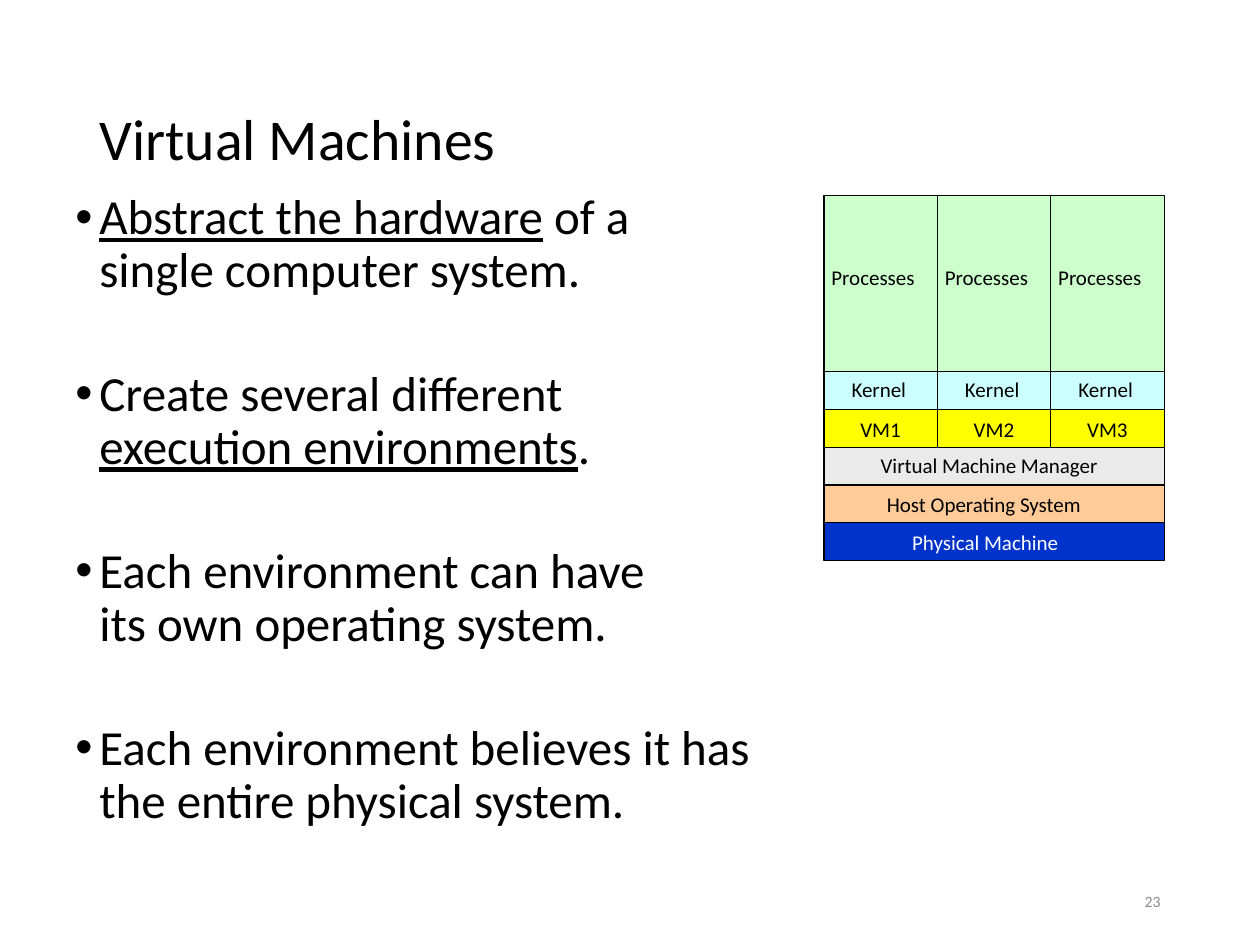
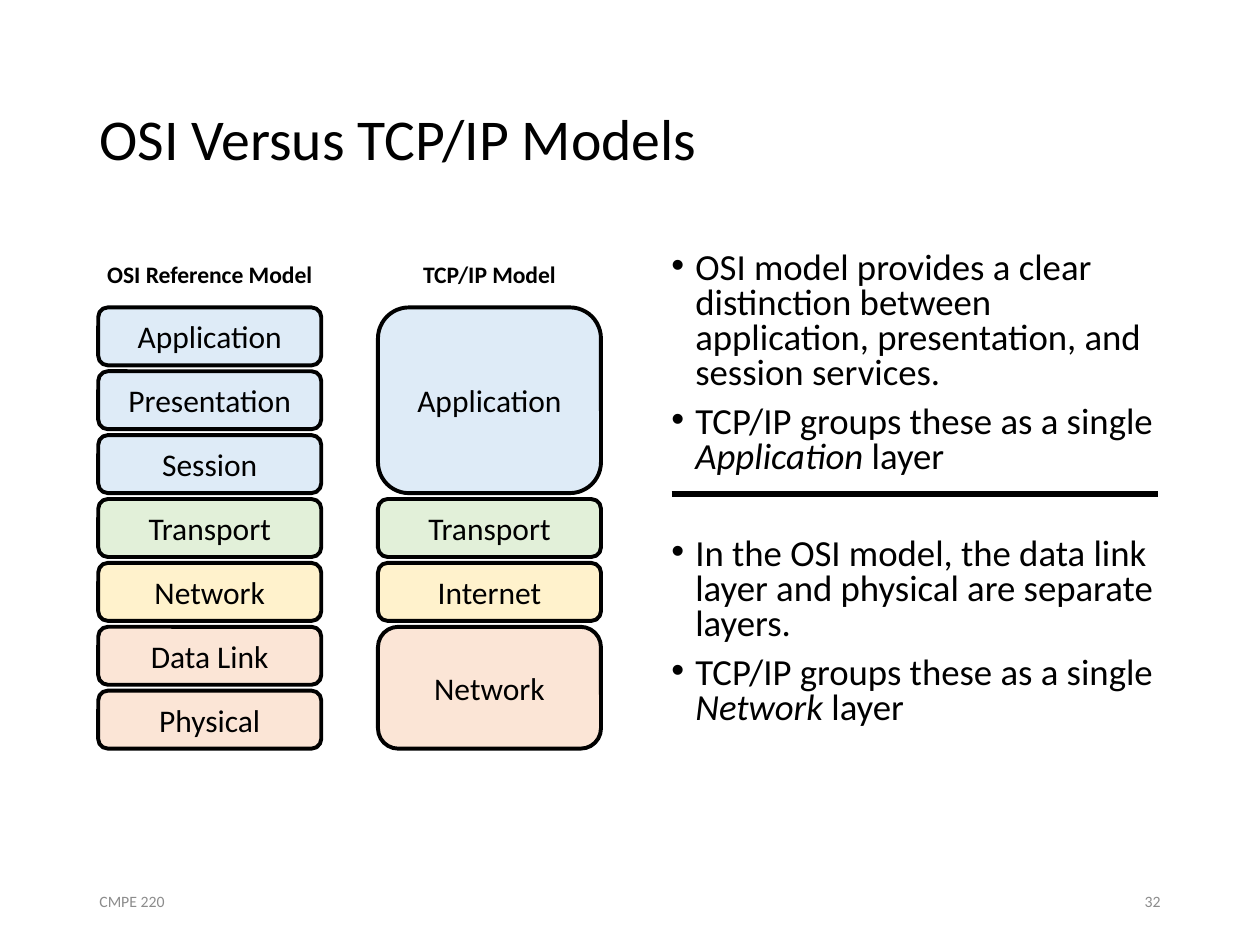
from lxml.etree import SubElement
from pptx import Presentation
from pptx.dml.color import RGBColor
from pptx.enum.shapes import MSO_CONNECTOR as Link, MSO_SHAPE as Kind
from pptx.enum.text import MSO_ANCHOR as Anchor, PP_ALIGN as Align
from pptx.oxml.ns import qn
from pptx.util import Inches, Pt

FONT = "Calibri"
BLACK = RGBColor(0x00, 0x00, 0x00)
WHITE = RGBColor(0xFF, 0xFF, 0xFF)
GREY = RGBColor(0x8C, 0x8C, 0x8C)
MINT = RGBColor(0xCC, 0xFF, 0xCC)
AQUA = RGBColor(0xCC, 0xFF, 0xFF)
YELLOW = RGBColor(0xFF, 0xFF, 0x00)
SILVER = RGBColor(0xEA, 0xEA, 0xEA)
ORANGE = RGBColor(0xFF, 0xCC, 0x99)
NAVY = RGBColor(0x00, 0x33, 0xCC)
SKY = RGBColor(0xDE, 0xEB, 0xF7)
LEAF = RGBColor(0xE2, 0xF0, 0xD9)
CREAM = RGBColor(0xFF, 0xF2, 0xCC)
PEACH = RGBColor(0xFB, 0xE5, 0xD6)

# A paragraph is a list of (text, style); style is "u", "i" or "".
VM_TITLE = "Virtual Machines"
VM_POINTS = [
    [("Abstract the hardware", "u"), (" of a\nsingle computer system.", "")],
    [("Create several different\n", ""), ("execution environments", "u"), (".", "")],
    [("Each environment can have\nits own operating system.", "")],
    [("Each environment believes it has\nthe entire physical system.", "")],
]
# Labels, fill, text colour, row height, label offset (x, y), label width
VM_ROWS = [
    (["Processes"] * 3, MINT, BLACK, 1.4, (-0.04, 0.5), 0.98),
    (["Kernel"] * 3, AQUA, BLACK, 0.3, (0.12, -0.01), 0.68),
    (["VM1", "VM2", "VM3"], YELLOW, BLACK, 0.3, (0.19, 0.01), 0.54),
    (["Virtual Machine Manager"], SILVER, BLACK, 0.3, (0.35, -0.01), 2.05),
    (["Host Operating System"], ORANGE, BLACK, 0.3, (0.4, 0), 1.92),
    (["Physical Machine"], NAVY, WHITE, 0.3, (0.6, 0), 1.49),
]
STACK_X, STACK_Y, STACK_W = 6.54, 1.55, 2.7

OSI_TITLE = "OSI Versus TCP/IP Models"
# Heading, left edge, layers as (name, fill, rows spanned)
MODELS = [
    ("OSI Reference Model", 0.78, [
        ("Application", SKY, 1), ("Presentation", SKY, 1), ("Session", SKY, 1),
        ("Transport", LEAF, 1), ("Network", CREAM, 1),
        ("Data Link", PEACH, 1), ("Physical", PEACH, 1)]),
    ("TCP/IP Model", 3, [
        ("Application", SKY, 3), ("Transport", LEAF, 1),
        ("Internet", CREAM, 1), ("Network", PEACH, 2)]),
]
LAYER_Y, LAYER_W, LAYER_H, GAP = 2.44, 1.77, 0.46, 0.047
OSI_POINTS = [
    [("OSI model provides a clear distinction between application, "
      "presentation, and session services.", "")],
    [("TCP/IP groups these as a single ", ""), ("Application", "i"), (" layer", "")],
    [("In the OSI model, the data link layer and physical are separate layers.", "")],
    [("TCP/IP groups these as a single ", ""), ("Network", "i"), (" layer", "")],
]


def write(shape, paras, size=18, color=BLACK, bold=False, align=Align.LEFT,
          anchor=Anchor.TOP, wrap=True, lead=None, gaps=None, bullet=False):
    """Fill a shape with text; gaps holds the space before each paragraph."""
    if isinstance(paras, str):
        paras = [[(paras, "")]]
    frame = shape.text_frame
    frame.word_wrap, frame.vertical_anchor = wrap, anchor
    for n, parts in enumerate(paras):
        para = frame.add_paragraph() if n else frame.paragraphs[0]
        para.alignment = align
        if lead:
            para.line_spacing = lead
        if gaps:
            para.space_before = Pt(gaps[n])
        if bullet:
            props = para._p.get_or_add_pPr()
            props.set("marL", str(Inches(0.19)))
            props.set("indent", str(-Inches(0.19)))
            SubElement(props, qn("a:buFont"), typeface="Arial")
            SubElement(props, qn("a:buChar"), char="•")
        for text, style in parts:
            for k, line in enumerate(text.split("\n")):
                if k:
                    para.add_line_break()
                if not line:
                    continue
                run = para.add_run()
                run.text = line
                font = run.font
                font.name, font.size, font.bold = FONT, Pt(size), bold
                font.color.rgb = color
                if style == "u":
                    font.underline = True
                if style == "i":
                    font.italic = True


def label(shapes, text, x, y, w, h, **fmt):
    write(shapes.add_textbox(Inches(x), Inches(y), Inches(w), Inches(h)), text, **fmt)


def block(shapes, kind, x, y, w, h, fill, line):
    shape = shapes.add_shape(kind, Inches(x), Inches(y), Inches(w), Inches(h))
    shape.shadow.inherit = False
    shape.fill.solid()
    shape.fill.fore_color.rgb = fill
    shape.line.color.rgb = BLACK
    shape.line.width = Pt(line)
    return shape


def rule(shapes, x, y, end):
    line = shapes.add_connector(Link.STRAIGHT, Inches(x), Inches(y), Inches(end), Inches(y))
    line.line.color.rgb = BLACK
    line.line.width = Pt(3)
    SubElement(line._element.spPr, qn("a:effectLst"))


def start(deck, title, number, footer=None):
    """Add a slide with its title, number and footer."""
    shapes = deck.slides.add_slide(deck.slide_layouts[6]).shapes
    label(shapes, title, 0.69, 0.4, 8.62, 1.45, size=33, anchor=Anchor.MIDDLE, lead=0.9)
    small = dict(size=9, color=GREY, anchor=Anchor.MIDDLE)
    if footer:
        label(shapes, footer, 0.69, 6.95, 2.25, 0.4, **small)
    label(shapes, number, 7.06, 6.95, 2.25, 0.4, align=Align.RIGHT, **small)
    return shapes


def machines(deck):
    shapes = start(deck, VM_TITLE, "23")
    label(shapes, VM_POINTS, 0.5, 1.48, 9, 5.33, size=28, lead=0.9,
          gaps=[7.5, 40.5, 40.5, 40.5], bullet=True)
    stack = shapes.add_group_shape().shapes
    y = STACK_Y
    for names, fill, color, high, (dx, dy), wide in VM_ROWS:
        cell = STACK_W / len(names)
        for n, name in enumerate(names):
            x = STACK_X + n * cell
            block(stack, Kind.RECTANGLE, x, y, cell, high, fill, 0.75)
            label(stack, name, x + dx, y + dy, wide, 0.3,
                  size=12, color=color, wrap=False)
        y += high


def models(deck):
    shapes = start(deck, OSI_TITLE, "32", "CMPE 220")
    for head, x, layers in MODELS:
        label(shapes, head, x - 0.03, 2.01, 1.83, 0.33, size=13.5, bold=True,
              align=Align.CENTER, wrap=False)
        y = LAYER_Y
        for name, fill, span in layers:
            high = span * LAYER_H + (span - 1) * GAP
            layer = block(shapes, Kind.ROUNDED_RECTANGLE, x, y, LAYER_W, high, fill, 2.25)
            write(layer, name, align=Align.CENTER, anchor=Anchor.MIDDLE)
            y += high + GAP
    label(shapes, OSI_POINTS, 5.23, 1.95, 4.08, 3.96, size=21, lead=0.8,
          gaps=[7.5, 7.5, 35, 7.5], bullet=True)
    rule(shapes, 5.33, 3.92, 9.19)


def main():
    deck = Presentation()
    deck.slide_width, deck.slide_height = Inches(10), Inches(7.5)
    machines(deck)
    models(deck)
    deck.save("out.pptx")


if __name__ == "__main__":
    main()
